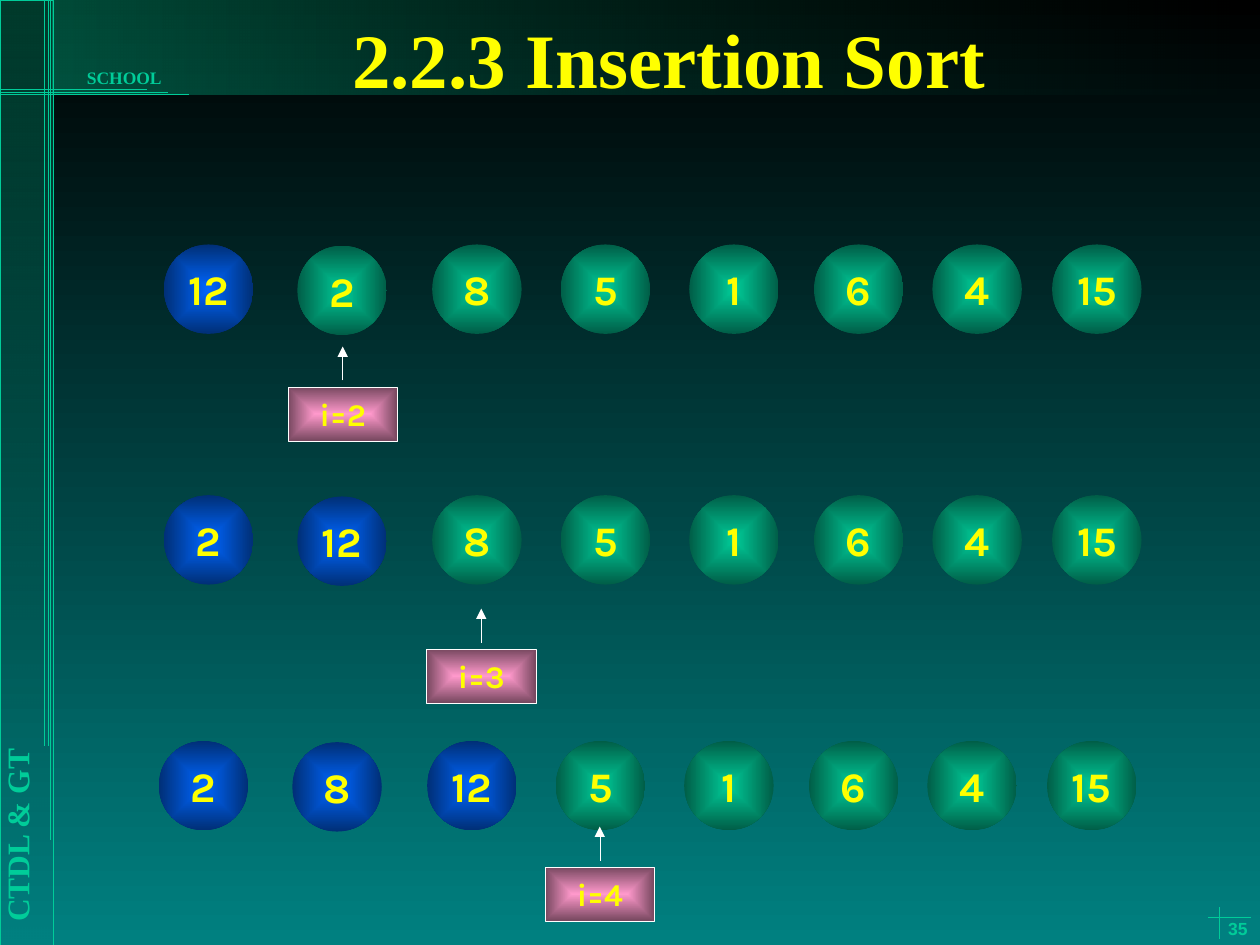
from dataclasses import dataclass

from pptx import Presentation
from pptx.dml.color import RGBColor
from pptx.enum.shapes import MSO_CONNECTOR, MSO_SHAPE
from pptx.enum.text import MSO_ANCHOR, PP_ALIGN
from pptx.oxml import parse_xml
from pptx.oxml.ns import nsdecls, qn
from pptx.util import Inches, Pt

RECT, OVAL = MSO_SHAPE.RECTANGLE, MSO_SHAPE.OVAL
STRAIGHT = MSO_CONNECTOR.STRAIGHT
TOP, MIDDLE, BOTTOM = MSO_ANCHOR.TOP, MSO_ANCHOR.MIDDLE, MSO_ANCHOR.BOTTOM
LEFT, CENTER, RIGHT = PP_ALIGN.LEFT, PP_ALIGN.CENTER, PP_ALIGN.RIGHT


@dataclass(frozen=True)
class Theme:
    black: str = "000000"
    teal: str = "008080"
    green: str = "00CC99"
    dark_green: str = "005E47"
    blue: str = "0066FF"
    dark_blue: str = "002F76"
    pink: str = "FF99CC"
    dark_pink: str = "76475E"
    yellow: str = "FFFF00"
    white: str = "FFFFFF"
    serif: str = "Times New Roman"
    sans: str = "Arial"
    display: str = "Karla"
    title: int = 44
    ball: int = 24
    label: int = 18
    small: int = 10
    hairline: float = 0.25


T = Theme()
LINEAR = '<a:lin ang="{}" scaled="0"/>'
DOWN, ACROSS = LINEAR.format(5400000), LINEAR.format(0)
CENTRED = ('<a:path path="rect"><a:fillToRect l="50000" t="50000" '
           'r="50000" b="50000"/></a:path>')

BALL = 0.71
BALL_OFFSETS = (0, 1.06, 2.13, 3.15, 4.17, 5.16, 6.1, 7.05)
MARKER_W, MARKER_H = 0.87, 0.43
STEPS = (
    (1.3, 1.94, (12, 2, 8, 5, 1, 6, 4, 15), 2, 2.72, 3.07),
    (1.3, 3.93, (2, 12, 8, 5, 1, 6, 4, 15), 3, 3.82, 5.15),
    (1.26, 5.88, (2, 8, 12, 5, 1, 6, 4, 15), 4, 4.76, 6.88),
)


def set_gradient(sp, colors, direction, opacity=(100, 100)):
    stops = "".join(
        f'<a:gs pos="{pos}"><a:srgbClr val="{color}">'
        f'<a:alpha val="{alpha * 1000}"/></a:srgbClr></a:gs>'
        for pos, color, alpha in zip((0, 100000), colors, opacity))
    sp.fill.background()
    spPr = sp._element.spPr
    spPr.replace(spPr.find(qn("a:noFill")), parse_xml(
        f'<a:gradFill {nsdecls("a")} rotWithShape="1">'
        f'<a:gsLst>{stops}</a:gsLst>{direction}</a:gradFill>'))


def set_line(line, color):
    line.color.rgb = RGBColor.from_string(color)
    line.width = Pt(T.hairline)


def add_panel(s, box, kind, colors, direction, opacity=(100, 100), outline=None):
    sp = s.shapes.add_shape(kind, *map(Inches, box))
    sp.shadow.inherit = False
    set_gradient(sp, colors, direction, opacity)
    if outline:
        set_line(sp.line, outline)
    else:
        sp.line.fill.background()
    return sp


def add_line(s, x1, y1, x2, y2, color, arrow=False):
    line = s.shapes.add_connector(STRAIGHT, *map(Inches, (x1, y1, x2, y2)))
    set_line(line.line, color)
    if arrow:
        line.line._get_or_add_ln().append(
            parse_xml(f'<a:tailEnd {nsdecls("a")} type="triangle"/>'))
    line._element.spPr.append(parse_xml(f'<a:effectLst {nsdecls("a")}/>'))


def write(sp, text, size, font, color, align=CENTER, anchor=MIDDLE, wrap=False):
    tf = sp.text_frame
    tf.word_wrap = wrap
    tf.vertical_anchor = anchor
    p = tf.paragraphs[0]
    p.alignment = align
    r = p.add_run()
    r.text = text
    for name, value in dict(size=Pt(size), name=font, bold=True).items():
        setattr(r.font, name, value)
    r.font.color.rgb = RGBColor.from_string(color)


def add_label(s, box, text, size, font, color, align, anchor):
    sp = s.shapes.add_textbox(*map(Inches, box))
    write(sp, text, size, font, color, align, anchor, wrap=True)
    return sp


def add_sidebar(s, x, y, w, h):
    greens = (T.green, T.dark_green)
    add_panel(s, (x, y, w, h), RECT, greens, DOWN, (29, 0), T.green)
    for inset, length in ((0.07, 5.92), (0.04, 5.92), (0.02, 6.67)):
        add_line(s, x + w - inset, y, x + w - inset, y + length, T.green)
    course = add_label(s, (-1.95, 5.13, 4.17, 0.4), "CTDL & GT", T.label,
                       T.serif, T.green, LEFT, TOP)
    course.rotation = 270


def add_header(s, x, y, w, h):
    add_panel(s, (x, y, w, h), RECT, (T.green, T.dark_green), ACROSS, (37, 0))
    for rise, length in ((0.04, 1.17), (0.02, 1.33), (0, 1.5)):
        add_line(s, 0, y + h - rise, length, y + h - rise, T.green)
    add_label(s, (0.12, 0.48, 1.26, 0.27), "SCHOOL", T.small, T.serif,
              T.green, RIGHT, TOP)
    add_label(s, (1.06, y, 8.5, 0.91), "2.2.3 Insertion Sort", T.title,
              T.serif, T.yellow, CENTER, MIDDLE)


def add_page_number(s, x, y, w, h):
    add_line(s, x + 0.09, y - 0.05, x + 0.43, y - 0.05, T.green)
    add_line(s, x + 0.18, y - 0.13, x + 0.18, y + 0.12, T.green)
    add_label(s, (x, y, w, h), "35", T.small, T.sans, T.green, RIGHT, BOTTOM)


def add_marker(s, center, top, index):
    box = (center - MARKER_W / 2, top, MARKER_W, MARKER_H)
    sp = add_panel(s, box, RECT, (T.pink, T.dark_pink), CENTRED, outline=T.white)
    write(sp, f"i={index}", T.label, T.display, T.yellow)
    add_line(s, center, top - 0.05, center, top - 0.32, T.white, arrow=True)


def add_step(s, left, top, values, index, marker_center, marker_top):
    for i, (offset, value) in enumerate(zip(BALL_OFFSETS, values)):
        in_order = i < index - 1
        colors = (T.blue, T.dark_blue) if in_order else (T.green, T.dark_green)
        drop = 0.01 if i == 1 else 0
        sp = add_panel(s, (left + offset, top + drop, BALL, BALL), OVAL,
                       colors, CENTRED)
        write(sp, str(value), T.ball, T.display, T.yellow)
    add_marker(s, marker_center, marker_top, index)


def main():
    prs = Presentation()
    prs.slide_width, prs.slide_height = Inches(10), Inches(7.5)
    s = prs.slides.add_slide(prs.slide_layouts[6])
    s.background.fill.solid()
    s.background.fill.fore_color.rgb = RGBColor.from_string(T.black)
    add_panel(s, (0, 0, 10, 7.5), RECT, (T.black, T.teal), DOWN)
    add_sidebar(s, 0, 0, 0.42, 7.5)
    add_header(s, 0.42, 0, 9.58, 0.75)
    add_page_number(s, 9.5, 7.33, 0.5, 0.17)
    for step in STEPS:
        add_step(s, *step)
    prs.save("out.pptx")


if __name__ == "__main__":
    main()
